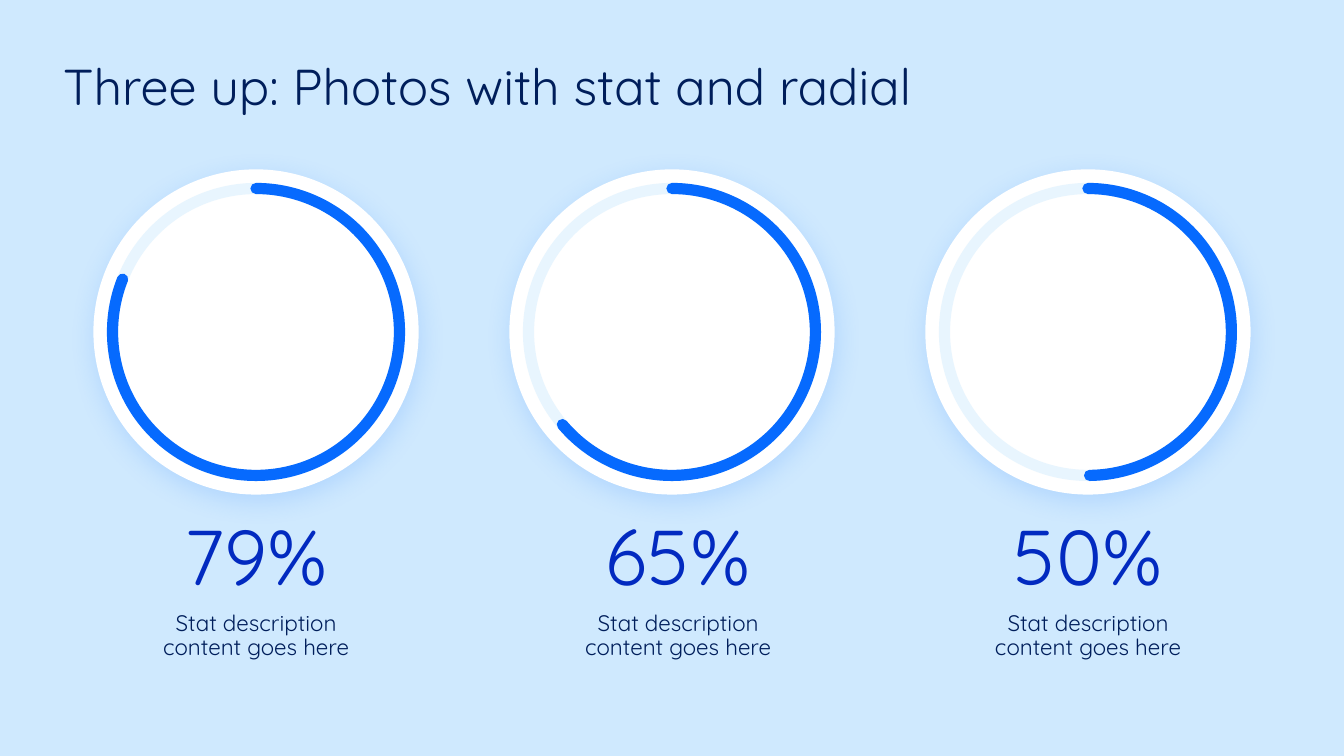
"""Build a slide of three radial gauges, each with a stat and its description."""
from lxml.etree import SubElement
from pptx import Presentation
from pptx.dml.color import RGBColor
from pptx.enum.shapes import MSO_SHAPE
from pptx.enum.text import MSO_AUTO_SIZE, PP_ALIGN
from pptx.oxml.ns import qn
from pptx.util import Inches, Pt

TITLE = "Three up: Photos with stat and radial"
NOTE = "Stat description content goes here"
STATS = [
    {"stat": "79%", "end": 201.6, "mid": 3.81, "text": 3.81},
    {"stat": "65%", "end": 139.8, "mid": 10, "text": 10.09},
    {"stat": "50%", "end": 89.34, "mid": 16.19, "text": 16.19},
]
COLORS = {
    "back": "CFE9FE", "disc": "FFFFFF", "track": "90D0FE",
    "arc": "066AFE", "stat": "022AC0", "ink": "001E5B",
}
FONT = "Quicksand"
MIDDLE, DISC, RING = 4.94, 4.84, 4.27
START = 270


def rgb(name):
    return RGBColor.from_string(COLORS[name])


def add_round(slide, kind, mid, size):
    shape = slide.shapes.add_shape(
        kind, Inches(mid - size / 2), Inches(MIDDLE - size / 2), Inches(size), Inches(size))
    shape.shadow.inherit = False
    return shape


def add_alpha(color, share):
    SubElement(color, qn("a:alpha"), val=str(share * 1000))


def add_disc(slide, mid):
    disc = add_round(slide, MSO_SHAPE.OVAL, mid, DISC)
    disc.fill.solid()
    disc.fill.fore_color.rgb = rgb("disc")
    disc.line.fill.background()
    effects = disc._element.spPr.find(qn("a:effectLst"))
    shadow = SubElement(effects, qn("a:outerShdw"), blurRad=str(Pt(28.1)),
                        dist=str(Pt(7.5)), dir=str(75 * 60000), algn="ctr", rotWithShape="0")
    add_alpha(SubElement(shadow, qn("a:srgbClr"), val=COLORS["arc"]), 15)


def add_ring(slide, kind, mid, color):
    ring = add_round(slide, kind, mid, RING)
    ring.fill.background()
    ring.line.color.rgb = rgb(color)
    ring.line.width = Pt(12)
    return ring


def add_gauge(slide, mid, end):
    track = add_ring(slide, MSO_SHAPE.OVAL, mid, "track")
    add_alpha(track.line._ln.find(".//" + qn("a:srgbClr")), 20)
    arc = add_ring(slide, MSO_SHAPE.ARC, mid, "arc")
    arc.line._ln.set("cap", "rnd")
    for i, angle in enumerate((START, end)):
        arc.adjustments[i] = angle * 0.6


def add_text(slide, box, text, size, color, align=PP_ALIGN.CENTER, fit=MSO_AUTO_SIZE.SHAPE_TO_FIT_TEXT):
    frame = slide.shapes.add_textbox(*map(Inches, box)).text_frame
    frame.word_wrap = True
    frame.auto_size = fit
    frame.margin_left = frame.margin_right = frame.margin_top = frame.margin_bottom = 0
    para = frame.paragraphs[0]
    para.alignment = align
    para.line_spacing = 0.9
    run = para.add_run()
    run.text = text
    run.font.name = FONT
    run.font.size = Pt(size)
    run.font.color.rgb = rgb(color)


def main():
    deck = Presentation()
    deck.slide_width, deck.slide_height = Inches(20), Inches(11.25)
    slide = deck.slides.add_slide(deck.slide_layouts[6])
    slide.background.fill.solid()
    slide.background.fill.fore_color.rgb = rgb("back")
    add_text(slide, (0.94, 0.92, 16.56, 0.94), TITLE, 54, "ink", PP_ALIGN.LEFT, MSO_AUTO_SIZE.NONE)
    for item in STATS:
        add_disc(slide, item["mid"])
        add_gauge(slide, item["mid"], item["end"])
        for text, top, wide, high, size, color in (
                (item["stat"], 7.72, 3.89, 1.26, 83, "stat"),
                (NOTE, 9.11, 3.52, 0.73, 24, "ink")):
            add_text(slide, (item["text"] - wide / 2, top, wide, high), text, size, color)
    deck.save("out.pptx")


if __name__ == "__main__":
    main()
